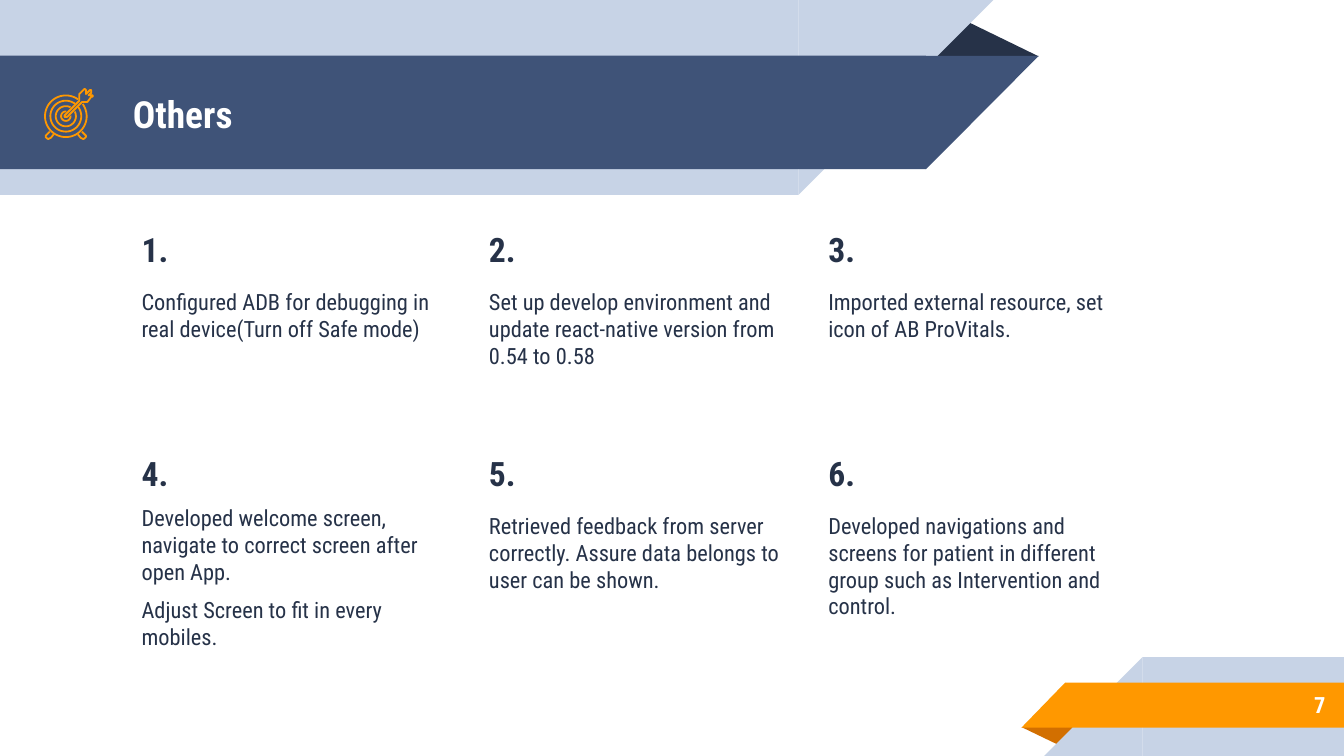
import math
from dataclasses import dataclass

from pptx import Presentation
from pptx import util as u
from pptx.dml.color import RGBColor
from pptx.enum import shapes, text

PX = 4572
FONT = "Roboto Condensed"
COLORS = {
    "navy": "263248",
    "blue": "3F5378",
    "pale": "C7D3E6",
    "orange": "FF9800",
    "rust": "D26F00",
    "white": "FFFFFF",
}
RECT = shapes.MSO_SHAPE.RECTANGLE
CORNER = shapes.MSO_SHAPE.RIGHT_TRIANGLE
FOLD = shapes.MSO_SHAPE.ISOSCELES_TRIANGLE


@dataclass
class Box:
    left: int
    top: int
    width: int
    height: int


@dataclass
class Band:
    preset: shapes.MSO_SHAPE
    box: Box
    color: str
    rotation: int = 0
    flipped: bool = False


@dataclass
class Item:
    paragraphs: list[str]
    before: int = 10
    after: int = 10


@dataclass
class Ring:
    radius: int
    half_gap: int


BANDS = [
    Band(FOLD, Box(1376, 28, 170, 56), "navy"),
    Band(RECT, Box(0, 0, 1188, 290), "pale"),
    Band(CORNER, Box(1188, 0, 290, 290), "pale", 180, True),
    Band(RECT, Box(0, 83, 1378, 169), "blue"),
    Band(CORNER, Box(1378, 83, 168, 169), "blue", 180, True),
    Band(FOLD, Box(1520, 1082, 86, 28), "rust", 180),
    Band(RECT, Box(1700, 978, 300, 147), "pale"),
    Band(CORNER, Box(1554, 978, 146, 147), "pale", 0, True),
    Band(RECT, Box(1585, 1016, 415, 67), "orange"),
    Band(CORNER, Box(1520, 1016, 65, 67), "orange", 0, True),
]

COLUMNS = [191, 708, 1213]
ROWS = [321, 654]
ITEMS = [
    Item(["Configured ADB for debugging in real device(Turn off Safe mode)"]),
    Item(["Set up develop environment and update react-native version from 0.54 to 0.58"]),
    Item(["Imported external resource, set icon of AB ProVitals."]),
    Item(
        [
            "Developed welcome screen, navigate to correct screen after open App.",
            "Adjust Screen to fit in every mobiles.",
        ],
        before=6,
        after=0,
    ),
    Item(["Retrieved feedback from server correctly. Assure data belongs to user can be shown."]),
    Item(
        ["Developed navigations and screens for patient in different group such as Intervention and control."],
        after=0,
    ),
]

TARGET_X, TARGET_Y = 98, 173
RINGS = [Ring(31, 9), Ring(23, 9), Ring(7, 38), Ring(15, 17)]
LEFT_FOOT = [
    (74, 196), (70, 200), (68, 202), (68, 204), (70, 206), (72, 207), (74, 206), (76, 205), (80, 200),
]
RIGHT_FOOT = [(2 * TARGET_X - x, y) for x, y in LEFT_FOOT]
ARROW = [
    (136, 142), (132, 142), (136, 138), (136, 134), (134, 134), (128, 140), (128, 134),
    (126, 132), (118, 140), (118, 142), (118, 150), (96, 172), (96, 174), (98, 174),
    (100, 174), (122, 152), (126, 152), (130, 152), (136, 144), (138, 144), (138, 142),
]


def px(length: float) -> int:
    return round(length * PX)


def rgb(name: str) -> RGBColor:
    return RGBColor.from_string(COLORS[name])


def draw_band(slide, band: Band) -> None:
    box = band.box
    shape = slide.shapes.add_shape(band.preset, px(box.left), px(box.top), px(box.width), px(box.height))
    shape.shadow.inherit = False
    shape.fill.solid()
    shape.fill.fore_color.rgb = rgb(band.color)
    shape.line.fill.background()
    shape.rotation = band.rotation
    if band.preset == FOLD:
        shape.adjustments[0] = 0.324
    if band.flipped:
        shape._element.spPr.xfrm.set("flipH", "1")


def add_text(slide, box: Box, content: str, anchor: text.MSO_ANCHOR):
    frame = slide.shapes.add_textbox(px(box.left), px(box.top), px(box.width), px(box.height)).text_frame
    frame.word_wrap = True
    frame.vertical_anchor = anchor
    frame.margin_left = frame.margin_right = frame.margin_top = frame.margin_bottom = px(20)
    frame.text = content
    return frame.paragraphs


def style(paragraph, size: int, color: str, bold: bool) -> None:
    for run in paragraph.runs:
        run.font.name = FONT
        run.font.size = u.Pt(size)
        run.font.bold = bold
        run.font.color.rgb = rgb(color)


def draw_item(slide, number: int, item: Item) -> None:
    row, column = divmod(number - 1, len(COLUMNS))
    box = Box(COLUMNS[column], ROWS[row], 492, 332)
    content = "\n".join([f"{number}.", *item.paragraphs])
    heading, *details = add_text(slide, box, content, text.MSO_ANCHOR.TOP)
    heading.space_before = u.Pt(6)
    style(heading, 18, "navy", True)
    for detail in details:
        detail.space_before = u.Pt(item.before)
        detail.space_after = u.Pt(item.after)
        style(detail, 12, "navy", False)


def draw_stroke(slide, points: list[tuple[float, float]], closed: bool = False) -> None:
    start, *rest = [(px(x), px(y)) for x, y in points]
    builder = slide.shapes.build_freeform(*start)
    builder.add_line_segments(rest, close=closed)
    stroke = builder.convert_to_shape()
    stroke.shadow.inherit = False
    stroke.fill.background()
    stroke.line.color.rgb = rgb("orange")
    stroke.line.width = u.Pt(0.96)


def ring_points(ring: Ring) -> list[tuple[float, float]]:
    steps = 60
    first = ring.half_gap - 45
    sweep = 360 - 2 * ring.half_gap
    angles = [math.radians(first + sweep * step / steps) for step in range(steps + 1)]
    return [(TARGET_X + ring.radius * math.cos(a), TARGET_Y + ring.radius * math.sin(a)) for a in angles]


def main() -> None:
    deck = Presentation()
    deck.slide_width, deck.slide_height = px(2000), px(1125)
    slide = deck.slides.add_slide(deck.slide_layouts[6])

    for band in BANDS:
        draw_band(slide, band)

    title = add_text(slide, Box(178, 85, 1150, 168), "Others", text.MSO_ANCHOR.MIDDLE)[0]
    style(title, 20, "white", True)
    for number, item in enumerate(ITEMS, 1):
        draw_item(slide, number, item)
    page = add_text(slide, Box(1666, 1014, 326, 70), "7", text.MSO_ANCHOR.MIDDLE)[0]
    page.alignment = text.PP_ALIGN.RIGHT
    style(page, 12, "white", True)

    for ring in RINGS:
        draw_stroke(slide, ring_points(ring))
    for foot in (LEFT_FOOT, RIGHT_FOOT):
        draw_stroke(slide, foot)
    draw_stroke(slide, ARROW, closed=True)

    deck.save("out.pptx")


if __name__ == "__main__":
    main()
